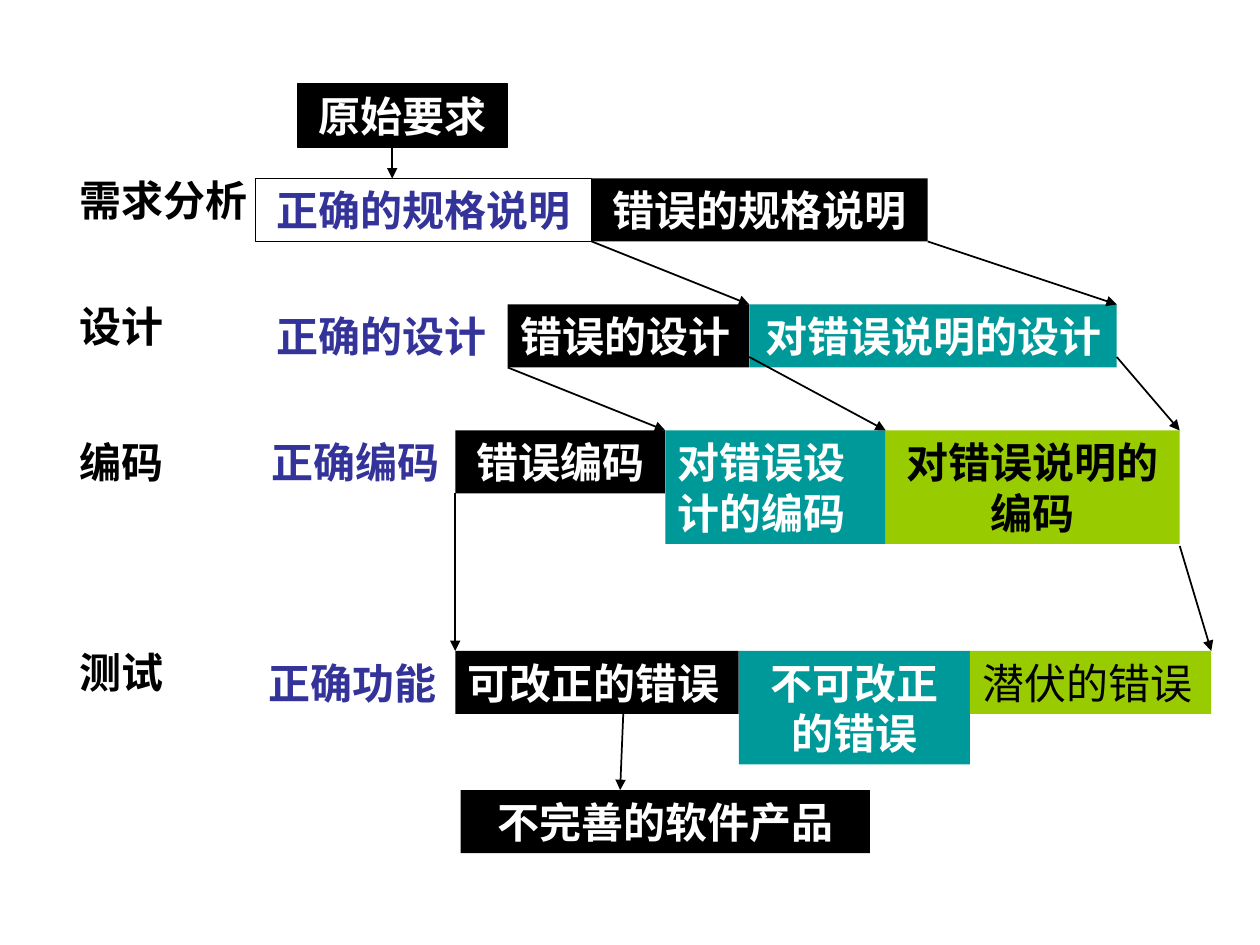
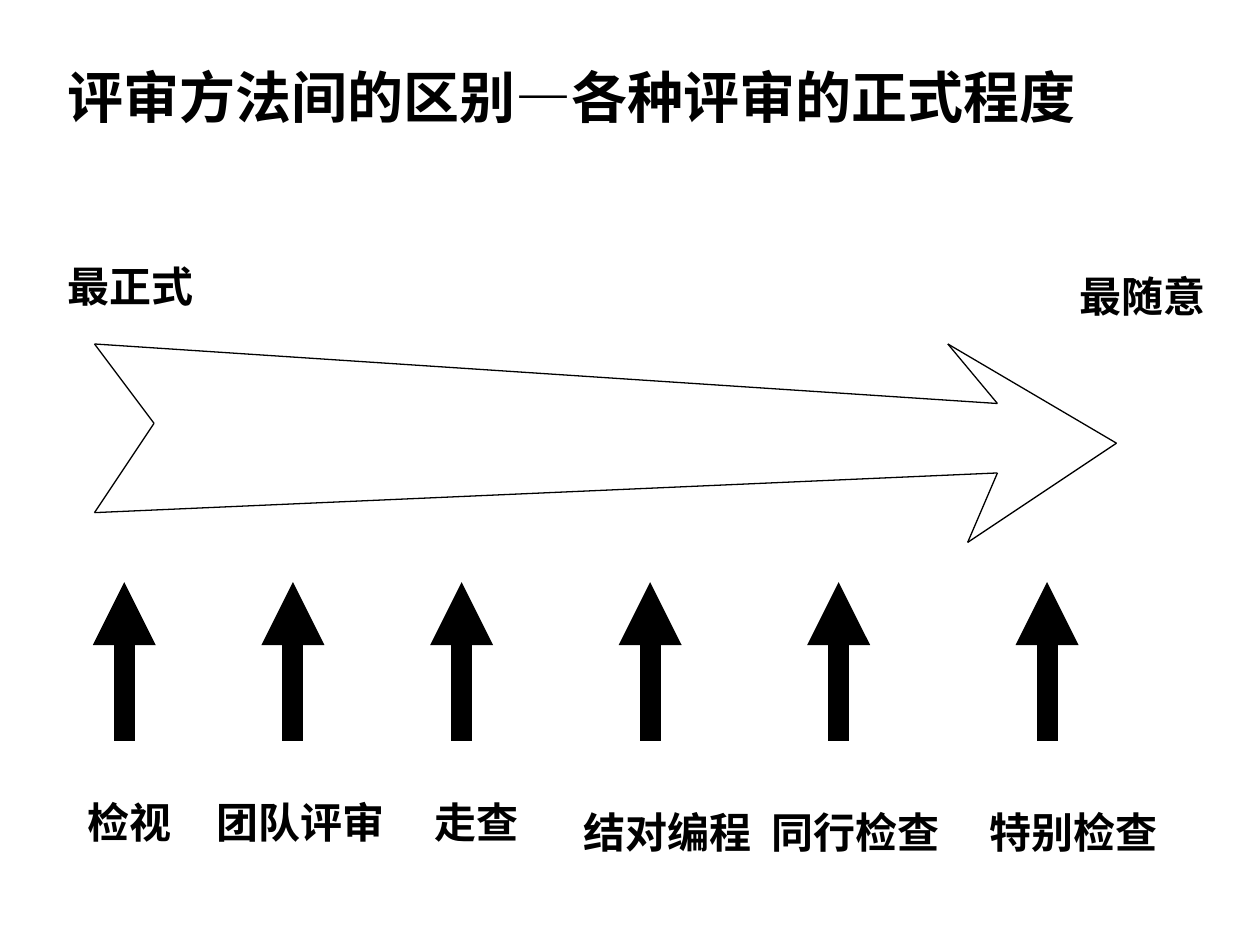
from dataclasses import dataclass
from itertools import pairwise

from lxml.etree import SubElement
from pptx import Presentation
from pptx.dml.color import RGBColor
from pptx.enum.shapes import MSO_CONNECTOR as Connector, MSO_SHAPE as Shape
from pptx.enum.text import MSO_ANCHOR as Anchor, PP_ALIGN as Align
from pptx.oxml.ns import qn
from pptx.util import Inches, Pt

COLORS = {"black": "000000", "white": "FFFFFF", "navy": "333399",
          "teal": "009999", "lime": "99CC00"}
SERIF, SANS, DASH = "Times New Roman", "DejaVu Sans", "Arial"
LINE_HEIGHT = 0.4
PADDING = 0.1


@dataclass
class Grid:
    left: float
    top: float
    unit: float

    def at(self, column, row):
        return self.left + column * self.unit, self.top + row * self.unit


FLOW = Grid(2.03, 0, 1 / 12)
STAGE_COLUMN = -18
CORRECT = dict(fill="white", color="navy")
WRONG = dict(fill="black", color="white")
INHERITED = dict(fill="teal", color="white")
LATENT = dict(fill="lime", color="black")
LEFT = dict(align=Align.LEFT)

STAGES = [
    ("需求分析", 16, 19, 17, [
        ("正确的规格说明", 32, 1, CORRECT | dict(line="black")),
        ("错误的规格说明", 32, 1, WRONG)]),
    ("设计", 28, 13, 29, [
        ("正确的设计", 24, 1, CORRECT),
        ("错误的设计", 23, 1, WRONG | LEFT),
        ("对错误说明的设计", 35, 1, INHERITED)]),
    ("编码", 41, 14, 41, [
        ("正确编码", 19, 1, CORRECT),
        ("错误编码", 20, 1, WRONG),
        ("对错误设计的编码", 21, 2, INHERITED | LEFT),
        ("对错误说明的编码", 28, 2, LATENT)]),
    ("测试", 61, 14, 62, [
        ("正确功能", 19, 1, CORRECT | LEFT),
        ("可改正的错误", 27, 1, WRONG | LEFT),
        ("不可改正的错误", 22, 2, INHERITED),
        ("潜伏的错误", 23, 1, LATENT | LEFT | dict(bold=False))]),
]
ENDPOINTS = [
    ("原始要求", 4, 8, 20, WRONG | dict(line="black")),
    ("不完善的软件产品", 19.5, 75.25, 39, WRONG),
]
FLOW_ARROWS = [
    ((13, 14), (13, 17)), ((32, 23), (47, 29)), ((64, 23), (82, 29)),
    ((24, 35), (39, 41)), ((47, 34), (60, 41)), ((82, 34), (88, 41)),
    ((19, 47), (19, 62)), ((88, 52), (91, 62)), ((35, 68), (34.7, 75.25)),
]

REVIEW = Grid(0.75, 2.73, 0.1575)
TITLE = [("评审方法间的区别", SANS), ("—", DASH), ("各种评审的正式程度", SANS)]
TITLE_CELL = (-2, -14.5)
EXTREMES = [("最正式", -2, -4.5), ("最随意", 49, -4)]
SCALE_OUTLINE = [(0, 0), (45.5, 3), (43, 0), (51.5, 5), (44, 10),
                 (45.5, 6.5), (0, 8.5), (3, 4)]
METHODS = [
    ("检视", 1.5, -1, 22.5), ("团队评审", 10, 5.5, 22.5),
    ("走查", 18.5, 16.5, 22.5), ("结对编程", 28, 24, 23),
    ("同行检查", 37.5, 33.5, 23), ("特别检查", 48, 44.5, 23),
]
ARROW_ROWS = (20, 12)


def rgb(name):
    return RGBColor.from_string(COLORS[name])


def write(slide, text, position, width, height=0.5, fill=None, line=None,
          color="black", size=24, bold=True, font=SERIF, align=Align.LEFT,
          wrap=True):
    frame = [Inches(length) for length in (*position, width, height)]
    if fill:
        box = slide.shapes.add_shape(Shape.RECTANGLE, *frame)
        box.shadow.inherit = False
        box.fill.solid()
        box.fill.fore_color.rgb = rgb(fill)
        if line:
            box.line.color.rgb = rgb(line)
            box.line.width = Pt(0.75)
        else:
            box.line.fill.background()
    else:
        box = slide.shapes.add_textbox(*frame)
    body = box.text_frame
    body.word_wrap = wrap
    body.vertical_anchor = Anchor.TOP
    paragraph = body.paragraphs[0]
    paragraph.alignment = align
    runs = [(text, font)] if isinstance(text, str) else text
    for words, typeface in runs:
        run = paragraph.add_run()
        run.text = words
        run.font.name = typeface
        run.font.size = Pt(size)
        run.font.bold = bold
        run.font.color.rgb = rgb(color)


def connect(slide, start, end, width=1, arrow=True):
    link = slide.shapes.add_connector(
        Connector.STRAIGHT, *[Inches(length) for length in (*start, *end)])
    link.line.color.rgb = rgb("black")
    link.line.width = Pt(width)
    if arrow:
        SubElement(link.line._get_or_add_ln(), qn("a:tailEnd"), type="triangle")
    SubElement(link._element.spPr, qn("a:effectLst"))


def build_error_flow(slide):
    for name, label_row, label_columns, row, outcomes in STAGES:
        write(slide, name, FLOW.at(STAGE_COLUMN, label_row),
              label_columns * FLOW.unit)
        column = 0
        for text, columns, lines, style in outcomes:
            write(slide, text, FLOW.at(column, row), columns * FLOW.unit,
                  lines * LINE_HEIGHT + PADDING,
                  **(dict(align=Align.CENTER) | style))
            column += columns
    for text, column, row, columns, style in ENDPOINTS:
        write(slide, text, FLOW.at(column, row), columns * FLOW.unit,
              align=Align.CENTER, **style)
    for start, end in FLOW_ARROWS:
        connect(slide, FLOW.at(*start), FLOW.at(*end))


def build_review_scale(slide):
    def label(text, column, row):
        write(slide, text, REVIEW.at(column, row), len(text) / 3 + 2 * PADDING,
              font=SANS, wrap=False)

    write(slide, TITLE, REVIEW.at(*TITLE_CELL), 8.27, 0.64, size=32)
    for extreme in EXTREMES:
        label(*extreme)
    for start, end in pairwise(SCALE_OUTLINE + SCALE_OUTLINE[:1]):
        connect(slide, REVIEW.at(*start), REVIEW.at(*end), 0.75, arrow=False)
    for method, arrow_column, column, row in METHODS:
        connect(slide, *[REVIEW.at(arrow_column, end) for end in ARROW_ROWS],
                width=12)
        label(method, column, row)


def main():
    deck = Presentation()
    deck.slide_width, deck.slide_height = Inches(10), Inches(7.5)
    for build in (build_error_flow, build_review_scale):
        build(deck.slides.add_slide(deck.slide_layouts[6]))
    deck.save("out.pptx")


if __name__ == "__main__":
    main()
